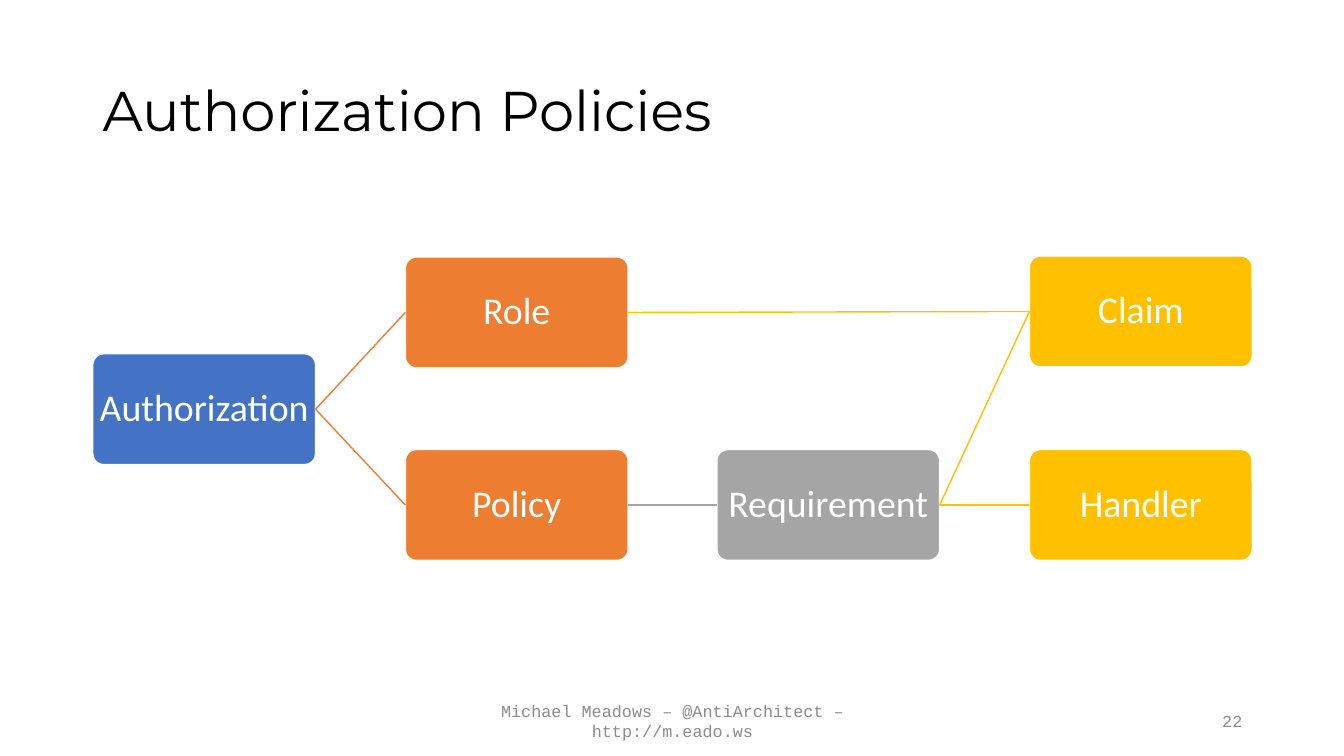
import pptx
import pptx.dml.color
import pptx.enum.shapes
import pptx.enum.text
import pptx.oxml.ns
import pptx.util
from lxml import etree

PX = 9144  # EMU in one px, 100 px to the inch
PAGE_WIDTH, PAGE_HEIGHT = 1333, 750
ALIGN = pptx.enum.text.PP_ALIGN
MIDDLE = pptx.enum.text.MSO_ANCHOR.MIDDLE
SHAPES = pptx.enum.shapes.MSO_SHAPE
STRAIGHT = pptx.enum.shapes.MSO_CONNECTOR.STRAIGHT

WHITE, BLACK, FOOTER_GRAY = "FFFFFF", "000000", "8C8C8C"
BLUE, ORANGE, GRAY, YELLOW = "4472C4", "ED7D31", "A5A5A5", "FFC000"

TITLE_FORMAT = {"name": "Montserrat", "size": pptx.util.Pt(40)}
FOOTER_FORMAT = {"name": "Courier New", "size": pptx.util.Pt(12)}
NODE_FORMAT = {"name": "Calibri", "size": pptx.util.Pt(27)}

NODE_WIDTH, NODE_HEIGHT = 221, 110
NODE_INSET = 2
RIGHT_SIDE, LEFT_SIDE = 3, 1

# Name, column, top within the diagram, fill
NODES = [
    ("Authorization", 0, 97, BLUE),
    ("Role", 1, 1, ORANGE),
    ("Policy", 1, 192, ORANGE),
    ("Requirement", 2, 192, GRAY),
    ("Claim", 3, 0, YELLOW),
    ("Handler", 3, 192, YELLOW),
]
LINKS = [
    ("Authorization", "Role", ORANGE),
    ("Authorization", "Policy", ORANGE),
    ("Role", "Claim", YELLOW),
    ("Policy", "Requirement", GRAY),
    ("Requirement", "Handler", YELLOW),
    ("Requirement", "Claim", YELLOW),
]


def color(hex_value):
    return pptx.dml.color.RGBColor.from_string(hex_value)


def emu(*lengths):
    return [length * PX for length in lengths]


def write_text(shape, text, font_format, text_color, align, spacing=1.0):
    frame = shape.text_frame
    frame.word_wrap = True
    frame.vertical_anchor = MIDDLE
    para = frame.paragraphs[0]
    para.alignment = align
    para.line_spacing = spacing
    span = para.add_run()
    span.text = text
    for name, value in font_format.items():
        setattr(span.font, name, value)
    span.font.color.rgb = color(text_color)


def add_title(page, box):
    title = page.shapes.add_textbox(*emu(*box))
    write_text(title, "Authorization Policies", TITLE_FORMAT, BLACK,
               ALIGN.LEFT, 0.9)


def add_footer(page, box):
    left, top, width, height = box
    parts = [
        ("Michael Meadows – @AntiArchitect – http://m.eado.ws",
         left, 450, ALIGN.CENTER),
        ("22", left + width - 300, 300, ALIGN.RIGHT),
    ]
    for text, part_left, part_width, align in parts:
        part = page.shapes.add_textbox(
            *emu(part_left, top, part_width, height))
        write_text(part, text, FOOTER_FORMAT, FOOTER_GRAY, align)


def add_node(page, name, left, top, fill):
    node = page.shapes.add_shape(
        SHAPES.ROUNDED_RECTANGLE, *emu(left, top, NODE_WIDTH, NODE_HEIGHT))
    node.adjustments[0] = 0.1
    node.shadow.inherit = False
    node.fill.solid()
    node.fill.fore_color.rgb = color(fill)
    node.line.color.rgb = color(WHITE)
    node.line.width = pptx.util.Pt(1)
    for side in ("left", "top", "right", "bottom"):
        setattr(node.text_frame, f"margin_{side}", NODE_INSET * PX)
    write_text(node, name, NODE_FORMAT, WHITE, ALIGN.CENTER, 0.9)
    return node


def add_link(page, start, end, line_color):
    link = page.shapes.add_connector(STRAIGHT, 0, 0, 0, 0)
    link.begin_connect(start, RIGHT_SIDE)
    link.end_connect(end, LEFT_SIDE)
    link.line.color.rgb = color(line_color)
    link.line.width = pptx.util.Pt(1)
    properties = link._element.spPr
    etree.SubElement(properties, pptx.oxml.ns.qn("a:effectLst"))


def add_diagram(page, box):
    left, top, width, _ = box
    column_step = (width - NODE_WIDTH) / 3
    nodes = {}
    for name, column, offset, fill in NODES:
        node_left = left + round(column * column_step)
        nodes[name] = add_node(page, name, node_left, top + offset, fill)
    for start, end, line_color in LINKS:
        add_link(page, nodes[start], nodes[end], line_color)


def main():
    deck = pptx.Presentation()
    deck.slide_width, deck.slide_height = emu(PAGE_WIDTH, PAGE_HEIGHT)
    page = deck.slides.add_slide(deck.slide_layouts[6])
    add_title(page, (92, 40, 1150, 145))
    add_diagram(page, (92, 254, 1150, 302))
    add_footer(page, (442, 695, 800, 40))
    deck.save("out.pptx")


if __name__ == "__main__":
    main()
